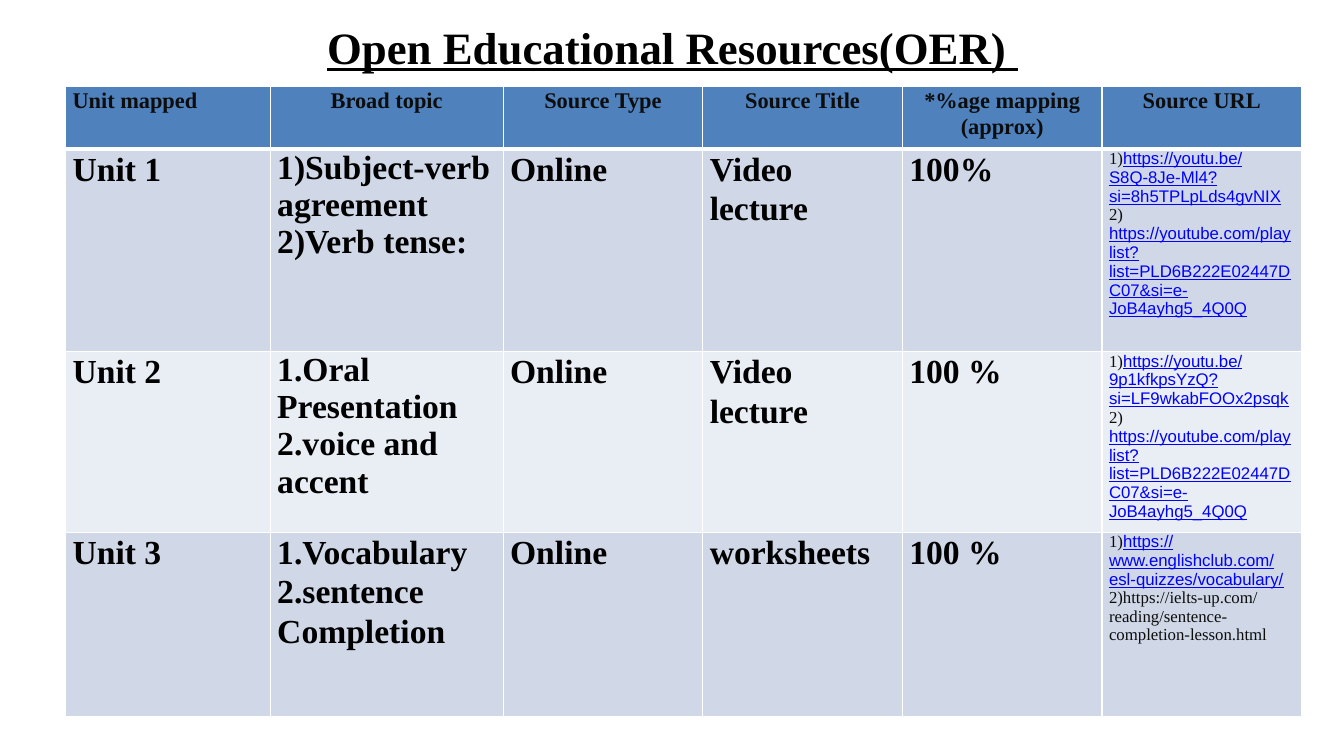
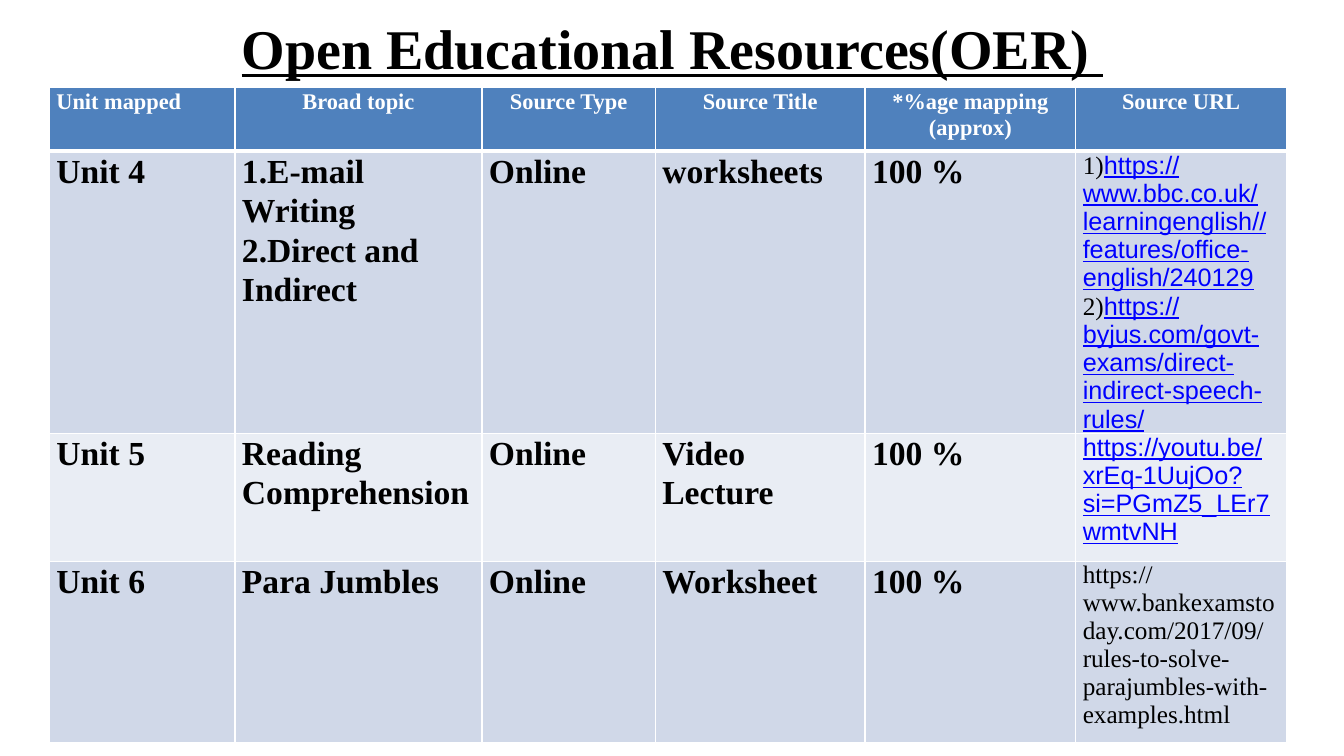
"""Build two slides of open educational resources, each a titled table."""
from lxml import etree
from pptx import Presentation
from pptx.dml.color import RGBColor
from pptx.enum.text import MSO_ANCHOR, MSO_AUTO_SIZE, PP_ALIGN
from pptx.oxml.ns import qn
from pptx.util import Pt

PX = 9144
WIDE, HIGH = 1333, 750
TITLE_BOX = (92, 23, 1150, 47)
PAD = 7
SERIF, SANS = "Times New Roman", "Arial"
CENTER, JUSTIFY, LEFT = PP_ALIGN.CENTER, PP_ALIGN.JUSTIFY, PP_ALIGN.LEFT
MIDDLE, TOP, FIXED = MSO_ANCHOR.MIDDLE, MSO_ANCHOR.TOP, MSO_AUTO_SIZE.NONE

BLACK = RGBColor(0x00, 0x00, 0x00)
INK = RGBColor(0x0D, 0x0D, 0x0D)
WHITE = RGBColor(0xFF, 0xFF, 0xFF)
LINK = RGBColor(0x00, 0x00, 0xFF)
BLUE = RGBColor(0x4F, 0x81, 0xBD)
BANDS = (RGBColor(0xD0, 0xD8, 0xE8), RGBColor(0xE9, 0xED, 0xF4))

TITLE = "Open Educational Resources(OER) "
HEADS = ("Unit mapped", "Broad topic", "Source Type", "Source Title",
         "*%age mapping (approx)", "Source URL")
LOOSE, TIGHT = 1.06, 1.0
PLAYLIST = ("https://youtube.com/playlist?list=PLD6B222E02447DC07"
            "&si=e-JoB4ayhg5_4Q0Q")

SLIDES = (
    dict(
        size=32, left=65, top=86, head=INK, note=INK, small=12,
        cols=(203, 231, 198, 198, 198, 198), rows=(62, 201, 179, 183),
        units=(
            ("Unit 1", ["1)Subject-verb agreement 2)Verb tense:"], TIGHT,
             "Online", "Video lecture", "100%",
             [("1)", "https://youtu.be/S8Q-8Je-Ml4?si=8h5TPLpLds4gvNIX"),
              ("2) ", PLAYLIST)]),
            ("Unit 2", ["1.Oral Presentation", "2.voice and accent"], TIGHT,
             "Online", "Video lecture", "100 %",
             [("1)", "https://youtu.be/9p1kfkpsYzQ?si=LF9wkabFOOx2psqk"),
              ("2) ", PLAYLIST)]),
            ("Unit 3", ["1.Vocabulary", "2.sentence Completion"], LOOSE,
             "Online", "worksheets", "100 %",
             [("1)", "https://www.englishclub.com/esl-quizzes/vocabulary/"),
              ("2)https://ielts-up.com/reading/"
               "sentence-completion-lesson.html", "")]),
        ),
    ),
    dict(
        size=40, left=49, top=87, head=WHITE, note=BLACK, small=18,
        cols=(184, 245, 172, 208, 209, 209), rows=(63, 270, 127, 180),
        units=(
            ("Unit 4", ["1.E-mail Writing", "2.Direct and Indirect"], LOOSE,
             "Online", "worksheets", "100 %",
             [("1)", "https://www.bbc.co.uk/learningenglish//features/"
                     "office-english/240129"),
              ("2)", "https://byjus.com/govt-exams/"
                     "direct-indirect-speech-rules/")]),
            ("Unit 5", ["Reading Comprehension"], LOOSE,
             "Online", "Video Lecture", "100 %",
             [("", "https://youtu.be/xrEq-1UujOo?si=PGmZ5_LEr7wmtvNH")]),
            ("Unit 6", ["Para Jumbles"], LOOSE,
             "Online", "Worksheet", "100 %",
             [("https://www.bankexamstoday.com/2017/09/"
               "rules-to-solve-parajumbles-with-examples.html", "")]),
        ),
    ),
)


def style(font, size, color, bold=True, line=False, face=SERIF):
    font.name, font.size, font.bold = face, Pt(size), bold
    font.underline = line
    font.color.rgb = color


def add_title(slide, size):
    box = slide.shapes.title
    box.left, box.top, box.width, box.height = (n * PX for n in TITLE_BOX)
    frame = box.text_frame
    frame.auto_size, frame.vertical_anchor = FIXED, MIDDLE
    frame.text = TITLE
    para = frame.paragraphs[0]
    para.alignment = CENTER
    style(para.font, size, BLACK, line=True)


def edge(cell, row):
    props = cell._tc.get_or_add_tcPr()
    wide = {"lnT": 3 if row == 1 else 1, "lnB": 3 if row == 0 else 1}
    for spot, side in enumerate(("lnL", "lnR", "lnT", "lnB")):
        line = etree.Element(qn("a:" + side), w=str(Pt(wide.get(side, 1))))
        fill = etree.SubElement(line, qn("a:solidFill"))
        etree.SubElement(fill, qn("a:srgbClr"), val=str(WHITE))
        props.insert(spot, line)


def paras(cell, count):
    frame = cell.text_frame
    for _ in range(count - 1):
        frame.add_paragraph()
    return frame.paragraphs


def write(cell, lines, size, color, align, space=LOOSE):
    for para, text in zip(paras(cell, len(lines)), lines):
        para.text = text
        para.alignment, para.line_spacing = align, space
        style(para.font, size, color)


def cite(cell, links, size, color):
    for para, (label, link) in zip(paras(cell, len(links)), links):
        para.alignment = LEFT
        if label:
            run = para.add_run()
            run.text = label
            style(run.font, size, color, bold=False)
        if link:
            run = para.add_run()
            run.text = link
            style(run.font, size, LINK, False, True, SANS)


def add_grid(slide, data):
    cols, rows = data["cols"], data["rows"]
    grid = slide.shapes.add_table(
        len(rows), len(cols), data["left"] * PX, data["top"] * PX,
        sum(cols) * PX, sum(rows) * PX).table
    for col, width in zip(grid.columns, cols):
        col.width = width * PX
    for i, height in enumerate(rows):
        grid.rows[i].height = height * PX
        for cell in grid.rows[i].cells:
            cell.margin_left = cell.margin_right = PAD * PX
            cell.margin_top = cell.margin_bottom = 0
            cell.vertical_anchor = TOP
            cell.fill.solid()
            cell.fill.fore_color.rgb = BANDS[(i - 1) % 2] if i else BLUE
            edge(cell, i)
    for j, text in enumerate(HEADS):
        align = CENTER if j else JUSTIFY
        write(grid.cell(0, j), [text], 16, data["head"], align)
    for i, unit in enumerate(data["units"], 1):
        name, topics, space, kind, source, share, links = unit
        for j, text in ((0, name), (2, kind), (3, source), (4, share)):
            write(grid.cell(i, j), [text], 24, BLACK, JUSTIFY)
        write(grid.cell(i, 1), topics, 24, BLACK, LEFT, space)
        cite(grid.cell(i, 5), links, data["small"], data["note"])


def main():
    deck = Presentation()
    deck.slide_width, deck.slide_height = WIDE * PX, HIGH * PX
    for data in SLIDES:
        slide = deck.slides.add_slide(deck.slide_layouts[5])
        add_title(slide, data["size"])
        add_grid(slide, data)
    deck.save("out.pptx")


if __name__ == "__main__":
    main()
